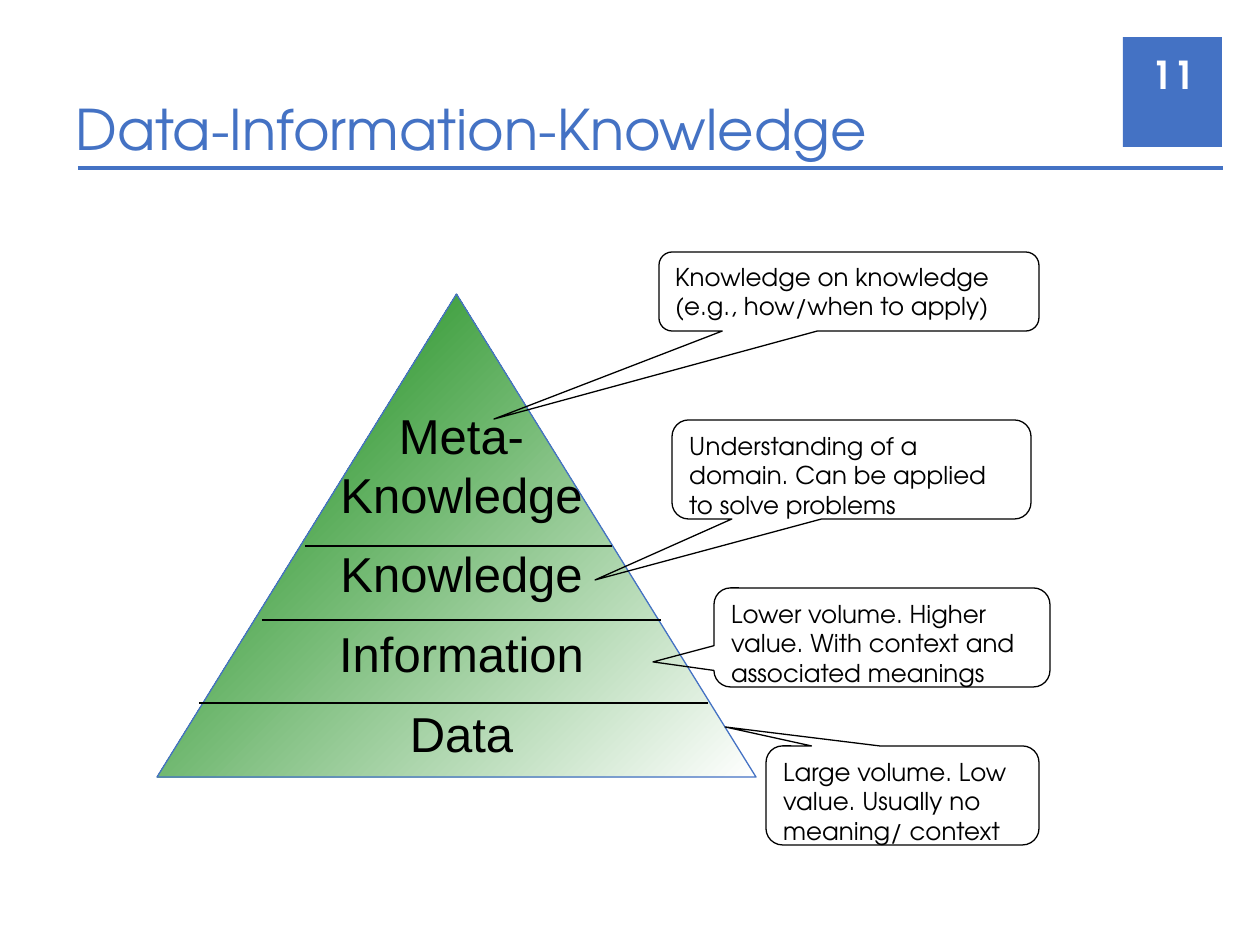
from dataclasses import dataclass

from pptx import Presentation
from pptx.dml.color import RGBColor
from pptx.enum.shapes import MSO_CONNECTOR, MSO_SHAPE
from pptx.enum.text import MSO_ANCHOR, PP_ALIGN
from pptx.oxml import parse_xml
from pptx.oxml.ns import nsdecls, qn
from pptx.util import Emu, Pt

STRAIGHT = MSO_CONNECTOR.STRAIGHT
RECTANGLE = MSO_SHAPE.RECTANGLE
TRIANGLE = MSO_SHAPE.ISOSCELES_TRIANGLE
CALLOUT = MSO_SHAPE.ROUNDED_RECTANGULAR_CALLOUT
TOP, MIDDLE, BOTTOM = MSO_ANCHOR.TOP, MSO_ANCHOR.MIDDLE, MSO_ANCHOR.BOTTOM
LEFT, CENTER, RIGHT = PP_ALIGN.LEFT, PP_ALIGN.CENTER, PP_ALIGN.RIGHT

PX_PER_INCH = 126
PAGE_WIDTH, PAGE_HEIGHT = 1260, 945


@dataclass(frozen=True)
class Theme:
    accent: str = "4472C4"
    ink: str = "000000"
    paper: str = "FFFFFF"
    peak: str = "008000"
    heading_font: str = "TeX Gyre Adventor"
    label_font: str = "Arial"
    title_size: int = 32
    number_size: int = 22
    label_size: int = 28
    note_size: int = 14
    thin: float = 0.75
    thick: float = 2


THEME = Theme()
TITLE_FORMAT = {"name": THEME.heading_font, "size": Pt(THEME.title_size)}
NUMBER_FORMAT = {"name": THEME.heading_font, "size": Pt(THEME.number_size), "bold": True}
LABEL_FORMAT = {"name": THEME.label_font, "size": Pt(THEME.label_size)}
NOTE_FORMAT = {"name": THEME.heading_font, "size": Pt(THEME.note_size)}

HEADER_BOX = (63, 37, 1166, 134)
PYRAMID_BOX = (157, 294, 599, 483)
LEVELS = ["Meta-", "Knowledge", "Knowledge", "Information", "Data"]
DIVIDERS = [(148, 455, 252), (105, 504, 326), (42, 551, 409)]
# box, tip of the pointer, paragraphs
NOTES = [
    ((766, 746, 273, 99), (725, 727),
     ["Large volume. Low value. Usually no meaning/ context"]),
    ((714, 588, 336, 99), (653, 662),
     ["Lower volume. Higher value. With context and associated meanings"]),
    ((672, 420, 359, 99), (595, 580),
     ["Understanding of a domain. Can be applied to solve problems"]),
    ((659, 252, 380, 79), (494, 419),
     ["Knowledge on knowledge", "(e.g., how/when to apply)"]),
]


def px(length):
    return Emu(round(length * 914400 / PX_PER_INCH))


def color(value):
    return RGBColor.from_string(value)


def write(shape, lines, font_format, ink, align=LEFT, anchor=TOP, wrap=True):
    """Put one paragraph per line into the shape and return the paragraphs."""
    frame = shape.text_frame
    frame.word_wrap = wrap
    frame.vertical_anchor = anchor
    frame.text = "\n".join(lines)
    for para in frame.paragraphs:
        para.alignment = align
        for span in para.runs:
            for attribute, value in font_format.items():
                setattr(span.font, attribute, value)
            span.font.color.rgb = color(ink)
    return frame.paragraphs


def add_text(page, box, lines, font_format, ink, **layout):
    shape = page.shapes.add_textbox(*map(px, box))
    return write(shape, lines, font_format, ink, **layout)


def add_rule(page, left, right, y, ink, width):
    rule = page.shapes.add_connector(STRAIGHT, px(left), px(y), px(right), px(y))
    rule.line.color.rgb = color(ink)
    rule.line.width = Pt(width)
    rule.element.spPr.append(parse_xml(f"<a:effectLst {nsdecls('a')}/>"))


def add_outline(page, kind, box, ink):
    shape = page.shapes.add_shape(kind, *map(px, box))
    shape.shadow.inherit = False
    shape.line.color.rgb = color(ink)
    shape.line.width = Pt(THEME.thin)
    return shape


def add_header(page, box, title, number):
    left, top, width, height = box
    tab = page.shapes.add_shape(RECTANGLE, px(left + 1060), px(top), px(99), px(110))
    tab.shadow.inherit = False
    tab.fill.solid()
    tab.fill.fore_color.rgb = color(THEME.accent)
    tab.line.fill.background()
    add_text(page, (left, top + 26, width, 105), [title], TITLE_FORMAT,
             THEME.accent, anchor=BOTTOM)
    add_rule(page, left + 15, left + 1160, top + 131, THEME.accent, THEME.thick)
    add_text(page, (left + 1075, top + 12, 69, 50), [number], NUMBER_FORMAT,
             THEME.paper, align=RIGHT, anchor=MIDDLE)


def fill_from_corner(shape, start, end):
    """Fill with a circular gradient that spreads from the top left corner."""
    shape.fill.gradient()
    for stop, value in zip(shape.fill.gradient_stops, (start, end)):
        stop.color.rgb = color(value)
    gradient = shape.element.spPr.find(qn("a:gradFill"))
    gradient.replace(gradient.find(qn("a:lin")), parse_xml(
        f'<a:path {nsdecls("a")} path="circle">'
        '<a:fillToRect r="100000" b="100000"/></a:path>'))


def add_pyramid(page, box, levels, dividers):
    left, top, _, _ = box
    pyramid = add_outline(page, TRIANGLE, box, THEME.accent)
    fill_from_corner(pyramid, THEME.peak, THEME.paper)
    paras = add_text(page, (left + 168, top + 105, 273, 373), levels,
                     LABEL_FORMAT, THEME.ink, align=CENTER, wrap=False)
    for para in paras[2:]:
        para.space_before = Pt(12)
    for start, end, y in dividers:
        add_rule(page, left + start, left + end, top + y, THEME.ink, THEME.thin)


def add_note(page, box, tip, lines):
    left, top, width, height = box
    note = add_outline(page, CALLOUT, box, THEME.ink)
    note.fill.background()
    note.adjustments[0] = (tip[0] - left) / width - 0.5
    note.adjustments[1] = (tip[1] - top) / height - 0.5
    write(note, lines, NOTE_FORMAT, THEME.ink)


def main():
    deck = Presentation()
    deck.slide_width, deck.slide_height = px(PAGE_WIDTH), px(PAGE_HEIGHT)
    page = deck.slides.add_slide(deck.slide_layouts[6])
    add_header(page, HEADER_BOX, "Data-Information-Knowledge", "11")
    add_pyramid(page, PYRAMID_BOX, LEVELS, DIVIDERS)
    for box, tip, lines in NOTES:
        add_note(page, box, tip, lines)
    deck.save("out.pptx")


if __name__ == "__main__":
    main()
